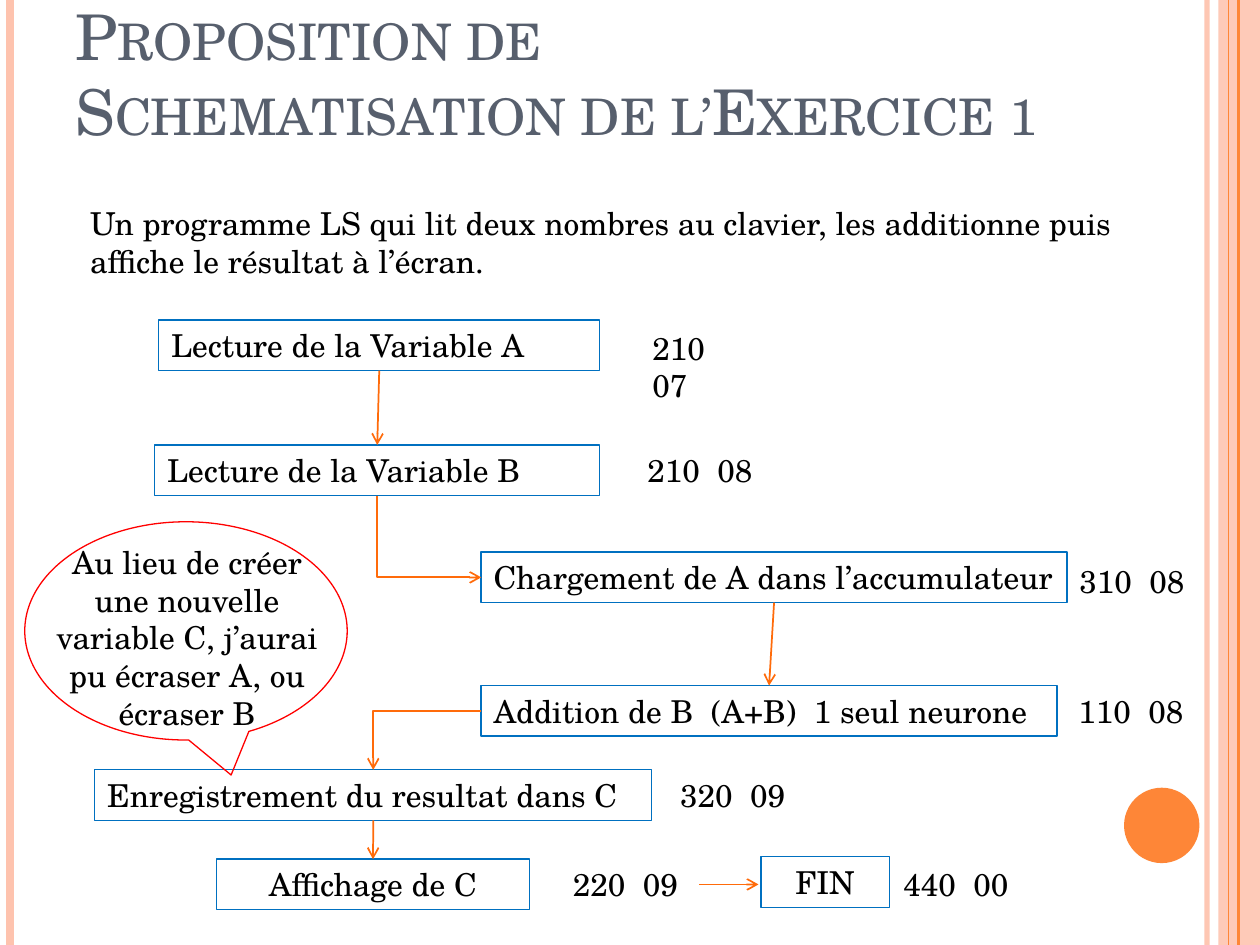
from dataclasses import dataclass
from lxml import etree
from pptx import Presentation
from pptx import util as u
from pptx.dml.color import RGBColor
from pptx.enum import shapes, text
from pptx.oxml.ns import qn


@dataclass(frozen=True)
class Theme:
    font: str = "TeX Gyre Schola"
    title_size: int = 36
    body_size: int = 18
    title: str = "575F6D"
    ink: str = "000000"
    rail: str = "FEC3AE"
    accent: str = "FE8637"
    arrow: str = "FF6B0A"
    box: str = "0070C0"
    callout: str = "FF0000"


theme = Theme()
ROW_HEIGHT = 1.02

# Content: lengths in centimetres
TITLE = "Proposition de \vSchematisation de l’Exercice 1"
INTRO = ("Un programme LS qui lit deux nombres au clavier, les additionne "
         "puis affiche le résultat à l’écran.")
REMARK = ("Au lieu de créer une nouvelle variable C, j’aurai pu écraser A, "
          "ou écraser B")
# name: label, (left, top, width), centred, code, (left, top, width)
STEPS = {
    "read_a": ("Lecture de la Variable A", (3.2, 6.45, 8.89), False,
               "210  07", (12.9, 6.5, 2.59)),
    "read_b": ("Lecture de la Variable B", (3.12, 8.97, 8.97), False,
               "210  08", (12.8, 8.97, 2.79)),
    "load": ("Chargement de A dans l’accumulateur", (9.7, 11.13, 11.81), False,
             "310  08", (21.51, 11.2, 2.79)),
    "add": ("Addition de B  (A+B)  1 seul neurone", (9.7, 13.82, 11.61), False,
            "110  08", (21.49, 13.82, 2.7)),
    "store": ("Enregistrement du resultat dans C", (1.91, 15.52, 11.23), False,
              "320  09", (13.46, 15.52, 3.12)),
    "show": ("Affichage de C", (4.37, 17.32, 6.3), True,
             "220  09", (11.3, 17.32, 2.79)),
    "end": ("FIN", (15.34, 17.27, 2.59), True,
            "440  00", (17.96, 17.32, 3.12)),
}
TOP, LEFT, BOTTOM = 0, 1, 2  # connection sites of a rectangle
LINKS = [("read_a", BOTTOM, "read_b", TOP), ("read_b", BOTTOM, "load", LEFT),
         ("load", BOTTOM, "add", TOP), ("add", LEFT, "store", TOP),
         ("store", BOTTOM, "show", TOP)]
# x, colour, width in points, opacity in percent
RAILS = [(24.33, theme.rail, 3, 93), (0.2, theme.rail, 4.5, 100),
         (24.97, theme.accent, 1.5, 100), (24.77, theme.accent, 0.75, 100)]

deck = Presentation()
deck.slide_width, deck.slide_height = u.Cm(25.4), u.Cm(19.05)
page = deck.slides.add_slide(deck.slide_layouts[6])


def set_opacity(fill, percent):
    color = fill._xPr.find(".//" + qn("a:srgbClr"))
    etree.SubElement(color, qn("a:alpha")).set("val", str(percent * 1000))


def write(shape, words, centred=False, size=theme.body_size, color=theme.ink):
    frame = shape.text_frame
    frame.word_wrap = True
    frame.vertical_anchor = text.MSO_ANCHOR.TOP
    frame.text = words
    para = frame.paragraphs[0]
    para.alignment = text.PP_ALIGN.CENTER if centred else text.PP_ALIGN.LEFT
    para.font.name, para.font.size = theme.font, u.Pt(size)
    para.font.color.rgb = RGBColor.from_string(color)
    return frame


def add_text(words, place, **style):
    return write(page.shapes.add_textbox(*map(u.Cm, place)), words, **style)


def add_figure(kind, place, fill=None, line=None):
    shape = page.shapes.add_shape(kind, *map(u.Cm, place))
    shape.shadow.inherit = False
    if fill:
        shape.fill.solid()
        shape.fill.fore_color.rgb = RGBColor.from_string(fill)
    else:
        shape.fill.background()
    if line:
        shape.line.color.rgb = RGBColor.from_string(line)
        shape.line.width = u.Pt(0.75)
    else:
        shape.line.fill.background()
    return shape


def add_line(start, end, color, width, arrow=False, bent=False):
    kind = shapes.MSO_CONNECTOR.ELBOW if bent else shapes.MSO_CONNECTOR.STRAIGHT
    line = page.shapes.add_connector(kind, *start, *end)
    line.line.color.rgb = RGBColor.from_string(color)
    line.line.width = u.Pt(width)
    if arrow:
        etree.SubElement(line.line._get_or_add_ln(), qn("a:tailEnd")).set("type", "arrow")
    etree.SubElement(line._element.spPr, qn("a:effectLst"))
    return line


def site(box, index):
    middle = box.left + box.width // 2
    return {TOP: (middle, box.top),
            LEFT: (box.left, box.top + box.height // 2),
            BOTTOM: (middle, box.top + box.height)}[index]


def link(source, exit_site, target, entry_site):
    start, end = site(source, exit_site), site(target, entry_site)
    bent = LEFT in (exit_site, entry_site)
    line = add_line(start, end, theme.arrow, 1, arrow=True, bent=bent)
    line.begin_connect(source, exit_site)
    line.end_connect(target, entry_site)
    if not bent:
        return
    # One corner; a line that first goes down is a turned, mirrored one
    line._element.spPr.find(qn("a:prstGeom")).set("prst", "bentConnector2")
    if exit_site == BOTTOM:
        across, down = end[0] - start[0], end[1] - start[1]
        line.left = start[0] + (across - down) // 2
        line.top = start[1] + (down - across) // 2
        line.width, line.height = down, across
        frame = line._element.spPr.find(qn("a:xfrm"))
        frame.set("rot", str(270 * 60000))
        frame.set("flipH", "1")


# Side decoration
band = add_figure(shapes.MSO_SHAPE.RECTANGLE, (24.56, 0, 0.84, 19.05), fill=theme.rail)
set_opacity(band.fill, 87)
for x, color, width, opacity in RAILS:
    rail = add_line((u.Cm(x), 0), (u.Cm(x), deck.slide_height), color, width)
    if opacity < 100:
        set_opacity(rail.line.fill, opacity)
add_figure(shapes.MSO_SHAPE.OVAL, (22.66, 15.88, 1.52, 1.52), fill=theme.accent)

# Title and introduction
title = add_text(TITLE, (1.27, 0.76, 22.86, 2.36),
                 size=theme.title_size, color=theme.title)
title.vertical_anchor = text.MSO_ANCHOR.BOTTOM
for span in title.paragraphs[0].runs:
    span._r.get_or_add_rPr().set("cap", "small")
add_text(INTRO, (1.57, 3.99, 22, 1.8))

# Steps with their codes
boxes = {}
for name, (label, place, centred, code, code_place) in STEPS.items():
    boxes[name] = add_figure(shapes.MSO_SHAPE.RECTANGLE, (*place, ROW_HEIGHT),
                             line=theme.box)
    write(boxes[name], label, centred)
    add_text(code, (*code_place, ROW_HEIGHT))

# Arrows
for source, exit_site, target, entry_site in LINKS:
    link(boxes[source], exit_site, boxes[target], entry_site)
add_line((u.Cm(14.1), u.Cm(17.83)), (u.Cm(15.29), u.Cm(17.83)),
         theme.arrow, 1, arrow=True)

# Remark
bubble = add_figure(shapes.MSO_SHAPE.OVAL_CALLOUT, (0.5, 10.52, 6.5, 4.4),
                    line=theme.callout)
bubble.adjustments[0], bubble.adjustments[1] = 0.14, 0.66
add_text(REMARK, (0.66, 10.82, 6.22, 4.11), centred=True)

deck.save("out.pptx")
